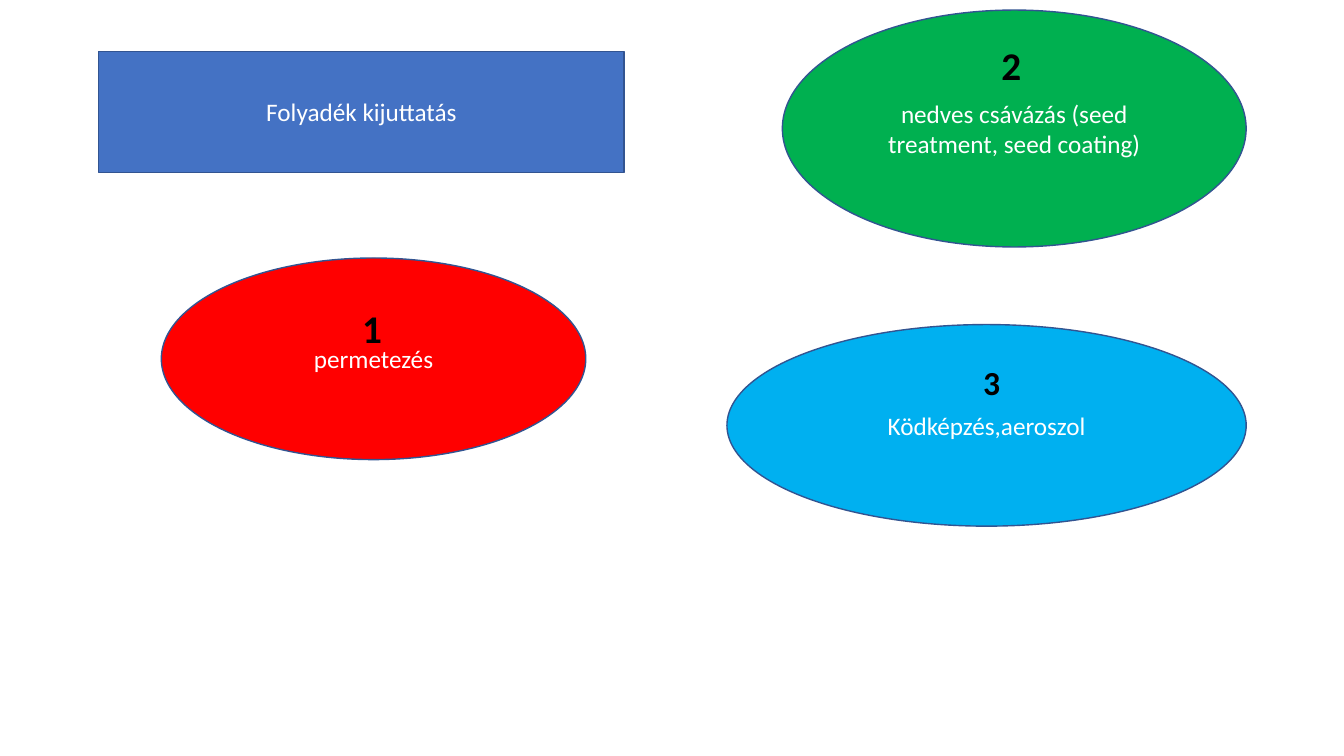
from pptx import Presentation
from pptx.dml.color import RGBColor
from pptx.enum.shapes import MSO_SHAPE
from pptx.enum.text import MSO_ANCHOR, MSO_AUTO_SIZE, PP_ALIGN
from pptx.util import Inches, Pt

BLUE = RGBColor(0x44, 0x72, 0xC4)
RED = RGBColor(0xFF, 0x00, 0x00)
GREEN = RGBColor(0x00, 0xB0, 0x50)
SKY = RGBColor(0x00, 0xB0, 0xF0)
OUTLINE = RGBColor(0x32, 0x54, 0x91)
WHITE = RGBColor(0xFF, 0xFF, 0xFF)
BLACK = RGBColor(0x00, 0x00, 0x00)

# text, preset, fill, (left, top, width, height) in inches
TOPICS = [
    ("Folyadék kijuttatás", MSO_SHAPE.RECTANGLE, BLUE, (0.98, 0.51, 5.21, 1.2)),
    ("permetezés", MSO_SHAPE.OVAL, RED, (1.6, 2.56, 4.21, 2)),
    ("nedves csávázás (seed treatment, seed coating)", MSO_SHAPE.OVAL, GREEN,
     (7.76, 0.1, 4.6, 2.35)),
    ("Ködképzés,aeroszol", MSO_SHAPE.OVAL, SKY, (7.21, 3.22, 5.15, 2)),
]
# text, size in points, box in inches
NUMBERS = [
    ("1", 28, (3.41, 2.97, 0.56, 0.57)),
    ("2", 28, (9.78, 0.36, 0.5, 0.57)),
    ("3", 24, (9.53, 3.54, 0.61, 0.5)),
]


def write(shape, text, size=18, color=WHITE, bold=False, anchor=MSO_ANCHOR.MIDDLE):
    tf = shape.text_frame
    tf.word_wrap = True
    tf.vertical_anchor = anchor
    p = tf.paragraphs[0]
    p.alignment = PP_ALIGN.CENTER
    r = p.add_run()
    r.text = text
    r.font.name = "Calibri"
    r.font.size = Pt(size)
    r.font.bold = bold
    r.font.color.rgb = color


def main():
    prs = Presentation()
    prs.slide_width, prs.slide_height = Inches(13.33), Inches(7.5)
    s = prs.slides.add_slide(prs.slide_layouts[6])

    for text, preset, fill, box in TOPICS:
        sp = s.shapes.add_shape(preset, *map(Inches, box))
        sp.shadow.inherit = False
        sp.fill.solid()
        sp.fill.fore_color.rgb = fill
        sp.line.color.rgb = OUTLINE
        sp.line.width = Pt(1)
        write(sp, text)

    for text, size, box in NUMBERS:
        sp = s.shapes.add_textbox(*map(Inches, box))
        write(sp, text, size=size, color=BLACK, bold=True, anchor=MSO_ANCHOR.TOP)
        sp.text_frame.auto_size = MSO_AUTO_SIZE.SHAPE_TO_FIT_TEXT

    prs.save("out.pptx")


if __name__ == "__main__":
    main()
